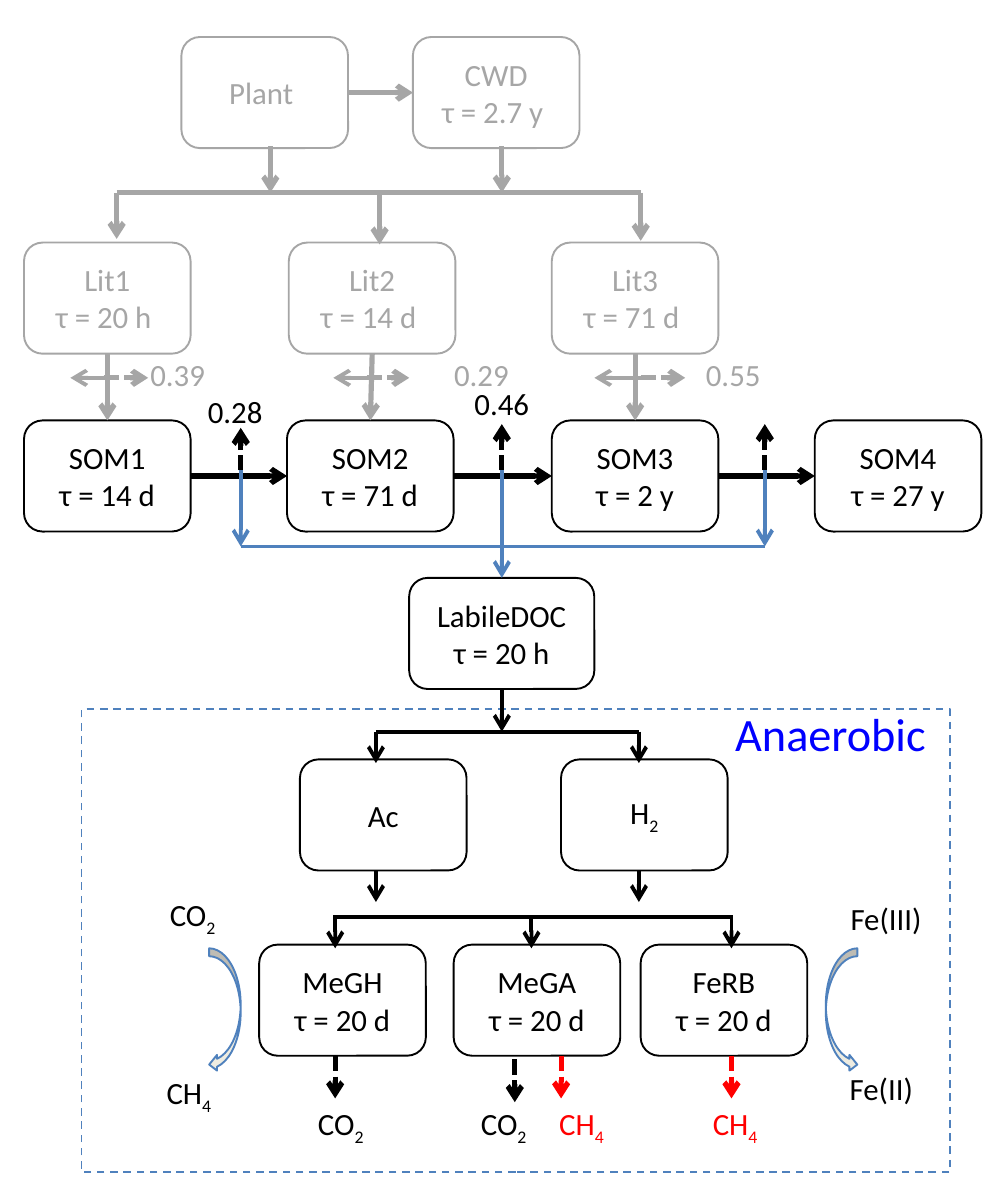
from dataclasses import dataclass
from lxml.etree import SubElement
from pptx import Presentation
from pptx.dml.color import RGBColor
from pptx.enum.dml import MSO_LINE
from pptx.enum.shapes import MSO_CONNECTOR, MSO_SHAPE
from pptx.enum.text import MSO_ANCHOR, MSO_AUTO_SIZE, PP_ALIGN
from pptx.oxml.ns import qn
from pptx.util import Pt

PX = 9144  # 100 px to the inch
TOP, LEFT, BOTTOM, RIGHT = range(4)


@dataclass(frozen=True)
class Theme:
    font: str = "Calibri"
    body: int = 12
    heading: int = 18
    black: RGBColor = RGBColor(0, 0, 0)
    gray: RGBColor = RGBColor(0xA6, 0xA6, 0xA6)
    blue: RGBColor = RGBColor(0x4F, 0x81, 0xBD)
    red: RGBColor = RGBColor(0xFF, 0, 0)
    title: RGBColor = RGBColor(0, 0, 0xFF)
    cream: RGBColor = RGBColor(0xEE, 0xEC, 0xE1)


T = Theme()
prs = Presentation()
prs.slide_width, prs.slide_height = 540 * PX, 650 * PX
s = prs.slides.add_slide(prs.slide_layouts[6])


def write(tf, text, color, size=T.body, spacing=None):
    """Fill a frame line by line; an underscore starts a subscript."""
    for i, row in enumerate(text.split("\n")):
        p = tf.paragraphs[0] if i == 0 else tf.add_paragraph()
        p.alignment = PP_ALIGN.CENTER
        p.line_spacing = spacing
        p.font.name, p.font.size = T.font, Pt(size)
        p.font.color.rgb = color
        for j, part in enumerate(row.split("_")):
            r = p.add_run()
            r.text = part
            if j:
                r._r.get_or_add_rPr().set("baseline", "-25000")


def connect(x1, y1, x2, y2, color, width, head=True, dashed=False):
    c = s.shapes.add_connector(
        MSO_CONNECTOR.STRAIGHT, x1 * PX, y1 * PX, x2 * PX, y2 * PX)
    c.line.color.rgb, c.line.width = color, Pt(width)
    if dashed:
        c.line.dash_style = MSO_LINE.SQUARE_DOT
    if head:
        SubElement(c.line._get_or_add_ln(), qn("a:tailEnd"), type="arrow")
    SubElement(c._element.spPr, qn("a:effectLst"))
    return c


# Anaerobic region
region = s.shapes.add_shape(
    MSO_SHAPE.RECTANGLE, 44 * PX, 383 * PX, 469 * PX, 250 * PX)
region.shadow.inherit = False
region.fill.background()
region.line.color.rgb, region.line.width = T.blue, Pt(0.75)
region.line.dash_style = MSO_LINE.DASH

# Carbon pools
boxes = {}
for x, y, w, text, color in (
    (98, 20, 90, "Plant ", T.gray),
    (223, 20, 90, "CWD\nτ = 2.7 y ", T.gray),
    (13, 131, 90, "Lit1\nτ = 20 h ", T.gray),
    (156, 131, 90, "Lit2\nτ = 14 d ", T.gray),
    (298, 131, 90, "Lit3\nτ = 71 d ", T.gray),
    (13, 227, 90, "SOM1\nτ = 14 d", T.black),
    (155, 227, 90, "SOM2\nτ = 71 d", T.black),
    (298, 227, 90, "SOM3\nτ = 2 y", T.black),
    (440, 227, 90, "SOM4\nτ = 27 y", T.black),
    (221, 312, 100, "LabileDOC τ = 20 h", T.black),
    (162, 410, 90, "Ac", T.black),
    (303, 410, 90, "H_2", T.black),
    (140, 510, 90, "MeGH\nτ = 20 d", T.black),
    (245, 510, 90, "MeGA\nτ = 20 d", T.black),
    (346, 510, 90, "FeRB\nτ = 20 d", T.black),
):
    sp = s.shapes.add_shape(
        MSO_SHAPE.ROUNDED_RECTANGLE, x * PX, y * PX, w * PX, 60 * PX)
    sp.shadow.inherit = False
    sp.fill.background()
    sp.line.color.rgb, sp.line.width = color, Pt(0.75)
    sp.text_frame.vertical_anchor = MSO_ANCHOR.MIDDLE
    write(sp.text_frame, text, color)
    boxes[text.split()[0]] = sp

# Arrows from box to box
for start, side1, end, side2, color in (
    ("Plant", RIGHT, "CWD", LEFT, T.gray),
    ("Lit1", BOTTOM, "SOM1", TOP, T.gray),
    ("Lit2", BOTTOM, "SOM2", TOP, T.gray),
    ("Lit3", BOTTOM, "SOM3", TOP, T.gray),
    ("SOM1", RIGHT, "SOM2", LEFT, T.black),
    ("SOM2", RIGHT, "SOM3", LEFT, T.black),
    ("SOM3", RIGHT, "SOM4", LEFT, T.black),
):
    c = connect(0, 0, 0, 0, color, 2)
    c.begin_connect(boxes[start], side1)
    c.end_connect(boxes[end], side2)

# Plant and CWD to litter
connect(63, 104, 346, 104, T.gray, 2, head=False)
for x in (146, 271):
    connect(x, 79, x, 104, T.gray, 2)
for x, tip in ((63, 129), (205, 132), (346, 130)):
    connect(x, 104, x, tip, T.gray, 2)

# Respired share of litter decay
for x, dash_x, tip in ((63, 56, 80), (205, 198, 221), (346, 346, 370)):
    connect(dash_x, 204, tip, 204, T.gray, 2, dashed=True)
    connect(x, 204, x - 25, 204, T.gray, 1.5)

# Respired share of soil decay, and the flow to LabileDOC
for x, top, bottom in ((130, 231, 295), (271, 229, 312), (413, 229, 295)):
    connect(x, 254, x, top, T.black, 2, dashed=True)
    flow = connect(x, 254, x, bottom, T.blue, 1.5)
    if bottom == 312:
        flow.end_connect(boxes["LabileDOC"], TOP)
connect(130, 295, 413, 295, T.blue, 1, head=False)

# LabileDOC to Ac and H2, then to the microbes
c = connect(271, 372, 271, 395, T.black, 1.5)
c.begin_connect(boxes["LabileDOC"], BOTTOM)
connect(203, 395, 345, 395, T.black, 1.5, head=False)
for x in (203, 345):
    connect(x, 395, x, 412, T.black, 1.5)
    connect(x, 470, x, 487, T.black, 1.5)
connect(180, 495, 396, 495, T.black, 1.5, head=False)
for x in (181, 287, 395):
    connect(x, 495, x, 512, T.black, 1.5)

# Gases given off
for x, y, color in ((181, 570, T.black), (278, 572, T.black),
                    (303, 570, T.red), (395, 570, T.red)):
    connect(x, y, x, y + 23, color, 2, dashed=True)

# Curved arrows beside the microbes
for kind, x in ((MSO_SHAPE.CURVED_LEFT_ARROW, 113),
                (MSO_SHAPE.CURVED_RIGHT_ARROW, 446)):
    sp = s.shapes.add_shape(kind, x * PX, 512 * PX, 17 * PX, 67 * PX)
    sp.shadow.inherit = False
    sp.fill.solid()
    sp.fill.fore_color.rgb = T.cream
    sp.line.color.rgb, sp.line.width = T.blue, Pt(0.75)

# Labels
for x, y, w, h, text, color, size, spacing in (
    (71, 187, 50, 30, "0.39", T.gray, T.body, None),
    (235, 187, 50, 30, "0.29", T.gray, T.body, None),
    (371, 187, 50, 30, "0.55", T.gray, T.body, None),
    (102, 207, 50, 30, "0.28", T.black, T.body, None),
    (246, 203, 50, 30, "0.46", T.black, T.body, None),
    (446, 483, 65, 29, "Fe(III)", T.black, T.body, 0.9),
    (446, 575, 60, 29, "Fe(II)", T.black, T.body, 0.9),
    (78, 479, 52, 29, "CO_2", T.black, T.body, 0.9),
    (76, 575, 52, 29, "CH_4", T.black, T.body, 0.9),
    (158, 592, 52, 29, "CO_2", T.black, T.body, 0.9),
    (246, 592, 52, 29, "CO_2", T.black, T.body, 0.9),
    (288, 592, 52, 29, "CH_4", T.red, T.body, 0.9),
    (371, 592, 52, 29, "CH_4", T.red, T.body, 0.9),
    (381, 379, 135, 38, "Anaerobic", T.title, T.heading, 0.9),
):
    tf = s.shapes.add_textbox(x * PX, y * PX, w * PX, h * PX).text_frame
    tf.word_wrap = False
    tf.auto_size = MSO_AUTO_SIZE.SHAPE_TO_FIT_TEXT
    write(tf, text, color, size, spacing)

prs.save("out.pptx")
